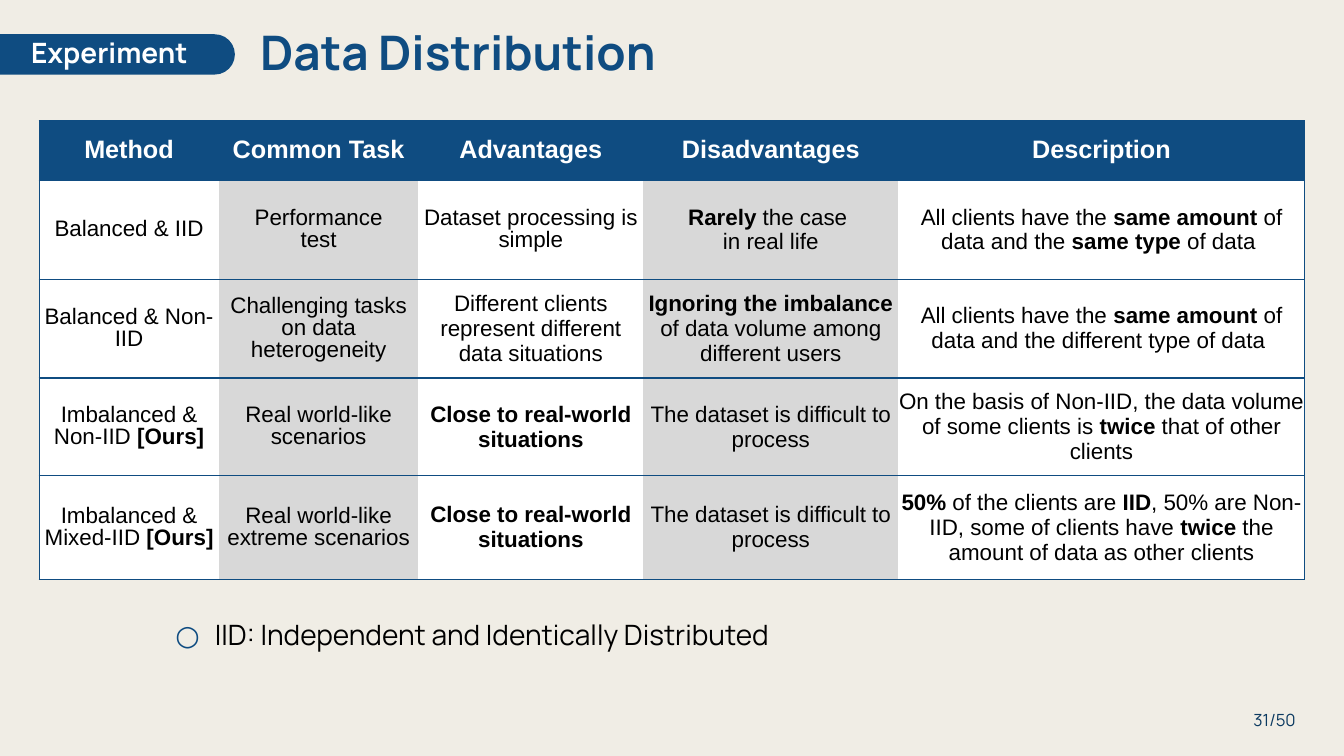
import pptx
import pptx.dml.color
import pptx.enum.shapes
import pptx.enum.text
import pptx.oxml
import pptx.oxml.ns
import pptx.util
from pptx.util import Inches

# Content: **double stars** mark bold words, a line break starts a new paragraph
TITLE = "Data Distribution"
SECTION = "Experiment"
FOOTNOTE = "IID: Independent and Identically Distributed"
PAGE_NUMBER = "31/50"
METHODS = [
    ["**Method**", "**Common Task**", "**Advantages**", "**Disadvantages**", "**Description**"],
    ["Balanced & IID", "Performance\ntest", "Dataset processing is simple",
     "**Rarely** the case \nin real life",
     "All clients have the **same amount **of data and the **same type** of data "],
    ["Balanced & Non-IID", "Challenging tasks on data heterogeneity",
     "Different clients represent different data situations",
     "**Ignoring the imbalance** of data volume among different users",
     "All clients have the **same amount **of data and the different type of data "],
    ["Imbalanced & Non-IID **[Ours]**", "Real world-like scenarios",
     "**Close to real-world situations**", "The dataset is difficult to process",
     "On the basis of Non-IID, the data volume of some clients is **twice** that of other clients"],
    ["Imbalanced & Mixed-IID **[Ours]**", "Real world-like extreme scenarios",
     "**Close to real-world situations**", "The dataset is difficult to process",
     "**50%** of the clients are **IID**, 50% are Non-IID, some of clients have **twice**"
     " the amount of data as other clients"],
]
COLUMN_WIDTHS = [1.78, 1.98, 2.23, 2.53, 4.03]
ROW_HEIGHTS = [0.59, 0.98, 0.98, 0.97, 1.03]
COLORS = {"paper": "F0EDE5", "blue": "0F4C81", "navy": "0B3960",
          "white": "FFFFFF", "gray": "D8D8D8", "black": "000000"}
CENTER = pptx.enum.text.PP_ALIGN.CENTER
LEFT = pptx.enum.text.PP_ALIGN.LEFT
RIGHT = pptx.enum.text.PP_ALIGN.RIGHT
MIDDLE = pptx.enum.text.MSO_ANCHOR.MIDDLE
TOP = pptx.enum.text.MSO_ANCHOR.TOP


def rgb(name):
    return pptx.dml.color.RGBColor.from_string(COLORS[name])


def xml(tag, attributes="", inner=""):
    namespace = pptx.oxml.ns.nsdecls("a")
    return pptx.oxml.parse_xml(f"<a:{tag} {namespace} {attributes}>{inner}</a:{tag}>")


def solid(name):
    return f'<a:solidFill><a:srgbClr val="{COLORS[name]}"/></a:solidFill>'


def style(font, size, color, bold=False, face="Manrope"):
    font.name, font.size, font.bold = face, pptx.util.Pt(size), bold
    font.color.rgb = rgb(color)


def write(box, at, text, size, color, align, bold=False, anchor=MIDDLE, spacing=1.0):
    box.left, box.top, box.width, box.height = map(Inches, at)
    frame = box.text_frame
    frame.text = text
    frame.word_wrap = True
    frame.auto_size = pptx.enum.text.MSO_AUTO_SIZE.NONE
    frame.vertical_anchor = anchor
    para = frame.paragraphs[0]
    para.alignment, para.line_spacing = align, spacing
    para.space_before = pptx.util.Pt(0)
    style(para.runs[0].font, size, color, bold)
    return para


def set_bullet(para, margin, indent, *elements):
    properties = para._p.get_or_add_pPr()
    properties.set("marL", str(Inches(margin)))
    properties.set("indent", str(Inches(indent)))
    for element in elements:
        properties.append(element)


def set_borders(cell, column):
    sides = {"L": column == 0, "R": column == len(COLUMN_WIDTHS) - 1, "T": True, "B": True}
    for index, (side, shown) in enumerate(sides.items()):
        line = xml("ln" + side, 'w="12700"', solid("blue") if shown else "<a:noFill/>")
        cell._tc.get_or_add_tcPr().insert(index, line)


def fill_cell(cell, row, column):
    cell.margin_left = cell.margin_right = cell.margin_top = cell.margin_bottom = 0
    cell.vertical_anchor = MIDDLE
    cell.fill.solid()
    cell.fill.fore_color.rgb = rgb("blue" if row == 0 else "gray" if column % 2 else "white")
    set_borders(cell, column)
    tight = row == 0 or column < 2 or (row, column) == (1, 2)
    size, color = (18, "white") if row == 0 else (16, "black")
    lines = METHODS[row][column].split("\n")
    cell.text_frame.text = "\n".join("" for line in lines)
    for para, line in zip(cell.text_frame.paragraphs, lines):
        para.alignment = CENTER
        para.line_spacing = 0.88 if tight else 1.0
        for index, part in enumerate(line.split("**")):
            if part:
                span = para.add_run()
                span.text = part
                style(span.font, size, color, index % 2 == 1, "Arial")


def main():
    deck = pptx.Presentation()
    deck.slide_width, deck.slide_height = Inches(13.33), Inches(7.5)
    page = deck.slides.add_slide(deck.slide_layouts.get_by_name("Two Content"))
    page.background.fill.solid()
    page.background.fill.fore_color.rgb = rgb("paper")
    title, section, footnote = page.placeholders

    # Section tab behind its label
    tab = page.shapes.add_shape(pptx.enum.shapes.MSO_SHAPE.ROUNDED_RECTANGLE,
                                Inches(-0.27), Inches(0.34), Inches(2.6), Inches(0.4))
    tab.adjustments[0] = 0.5
    tab.shadow.inherit = False
    tab.fill.solid()
    tab.fill.fore_color.rgb = rgb("blue")
    tab.line.fill.background()
    title._element.addprevious(tab._element)

    # Title, section label and page number
    write(title, (2.48, 0.17, 10.47, 0.75), TITLE, 34, "blue", LEFT, True, spacing=0.9)
    label = write(section, (0, 0.34, 2.17, 0.4), SECTION, 20, "white", CENTER, True, spacing=0.9)
    set_bullet(label, 0, 0, xml("buNone"))
    number = page.shapes.add_textbox(0, 0, 0, 0)
    write(number, (12.03, 6.94, 0.92, 0.4), PAGE_NUMBER, 12, "navy", RIGHT)

    # Comparison table
    frame = page.shapes.add_table(len(METHODS), len(COLUMN_WIDTHS), Inches(0.39), Inches(1.2),
                                  Inches(sum(COLUMN_WIDTHS)), Inches(sum(ROW_HEIGHTS)))
    table = frame.table
    table.horz_banding = False
    for column, width in enumerate(COLUMN_WIDTHS):
        table.columns[column].width = Inches(width)
    for row, height in enumerate(ROW_HEIGHTS):
        table.rows[row].height = Inches(height)
        for column in range(len(COLUMN_WIDTHS)):
            fill_cell(table.cell(row, column), row, column)

    # Footnote with a ring bullet
    note = write(footnote, (1.03, 6.03, 9.65, 0.54), FOOTNOTE, 20, "black", LEFT, anchor=TOP)
    footnote.text_frame.margin_top = footnote.text_frame.margin_bottom = Inches(0.1)
    note.level = 1
    note.space_after = pptx.util.Pt(2)
    set_bullet(note, 1, -0.39, xml("buClr", inner=f'<a:srgbClr val="{COLORS["blue"]}"/>'),
               xml("buFont", 'typeface="Manrope"'), xml("buChar", 'char="○"'))

    deck.save("out.pptx")


if __name__ == "__main__":
    main()
